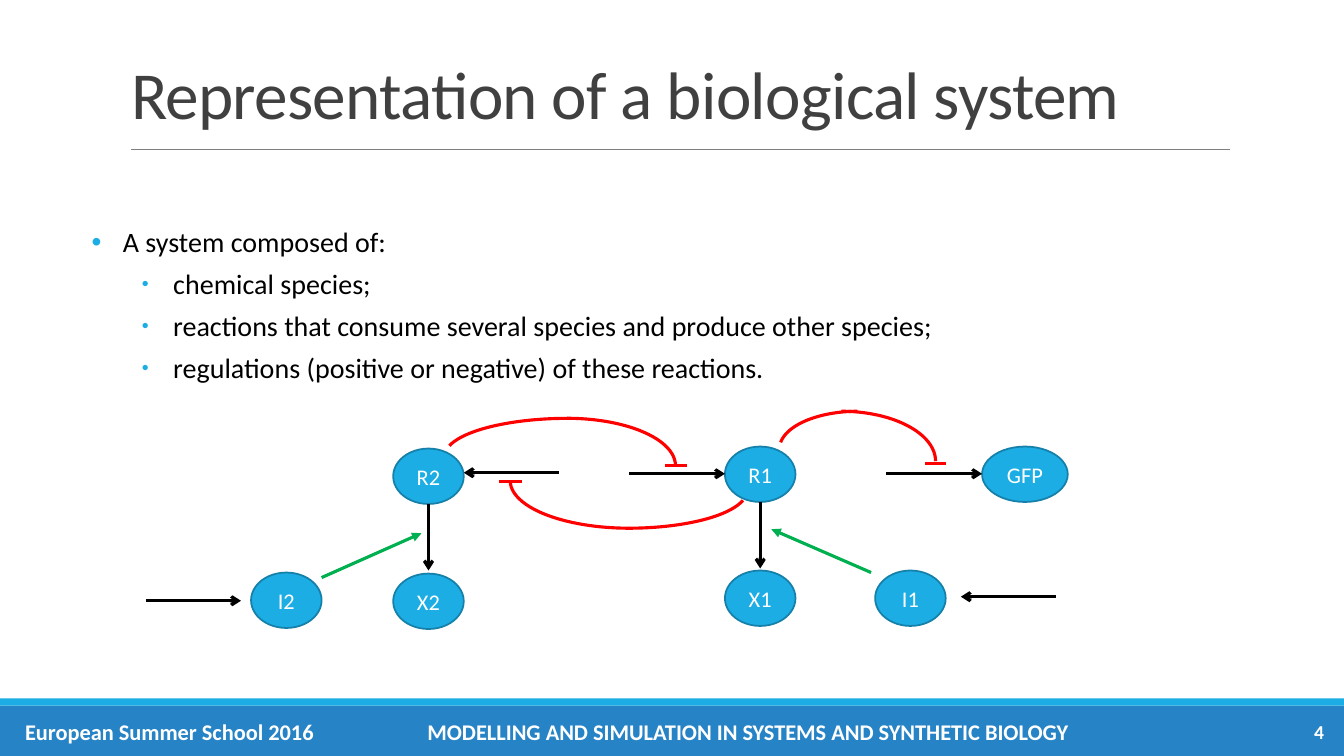
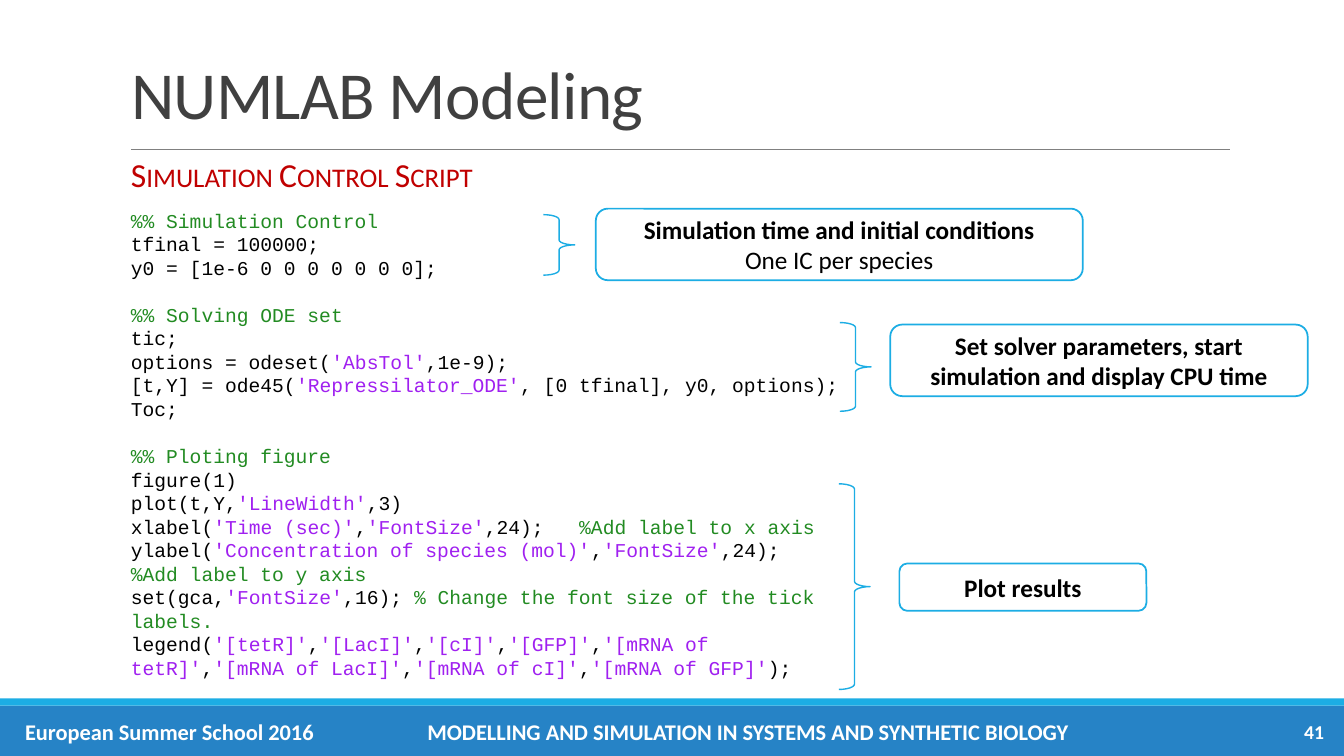
from lxml import etree
from pptx import Presentation
from pptx import util as u
from pptx.dml.color import RGBColor
from pptx.enum import shapes, text
from pptx.oxml.ns import qn

# ---- Shared look; lengths are px, 100 to the inch ----
SCALE = 9144
WIDE, HIGH = 1333, 750
FONT, MONO = "Calibri", "Courier New"
HUES = {
    "sky": "1CADE4", "blue": "2683C6", "edge": "1580A9", "rule": "808080",
    "title": "404040", "white": "FFFFFF", "black": "000000", "red": "FF0000",
    "green": "00B050", "head": "C00000", "note": "228B22", "quote": "A020F0",
}
LEFT, MID, RIGHT = text.PP_ALIGN.LEFT, text.PP_ALIGN.CENTER, text.PP_ALIGN.RIGHT
KIND = shapes.MSO_SHAPE

BANDS = [((0, 700, WIDE, 50), "blue"), ((0, 693, WIDE, 7), "sky")]
FOOTS = [
    ((15, 706, 311, 40), "European Summer School 2016", LEFT, 16),
    ((362, 706, 760, 40),
     "MODELLING AND SIMULATION IN SYSTEMS AND SYNTHETIC BIOLOGY", MID, 16),
]

# ---- Content: biological system ----
POINTS = [
    (0, "A system composed of:"),
    (1, "chemical species;"),
    (1, "reactions that consume several species and produce other species;"),
    (1, "regulations (positive or negative) of these reactions."),
]
NODES = [  # name, left, top, width
    ("R1", 719, 443, 70), ("R2", 390, 445, 70), ("X2", 390, 569, 70),
    ("X1", 719, 566, 70), ("I1", 868, 566, 70), ("I2", 249, 568, 70),
    ("GFP", 974, 443, 85),
]
NODE_H = 55
FLOWS = [  # reactions: from x, y to x, y
    (624, 470, 719, 470), (554, 469, 460, 469), (425, 500, 425, 566),
    (754, 498, 754, 564), (879, 470, 974, 470), (145, 596, 239, 596),
    (1047, 592, 953, 592),
]
BOOSTS = [(319, 573, 418, 529), (864, 568, 765, 525)]
BLOCKS = [  # end bar, arc to the bar, arc to the source, turn
    ((681, 462, 660, 462), (455, 415, 215, 94), (441, 415, 245, 75), 0),
    ((495, 478, 518, 478), (506, 430, 236, 94), (506, 449, 235, 75), 180),
    ((938, 460, 917, 460), (741, 408, 187, 99), (773, 408, 155, 75), 0),
]

# ---- Content: control script ----
SCRIPT = [
    ["%% Simulation Control",
     "tfinal = 100000;",
     "y0 = [1e-6 0 0 0 0 0 0 0];"],
    ["%% Solving ODE set",
     "tic;",
     "options = odeset('AbsTol',1e-9);",
     "[t,Y] = ode45('Repressilator_ODE', [0 tfinal], y0, options);",
     "Toc;"],
    ["%% Ploting figure",
     "figure(1)",
     "plot(t,Y,'LineWidth',3)",
     "xlabel('Time (sec)','FontSize',24);   %Add label to x axis",
     "ylabel('Concentration of species (mol)','FontSize',24);   "
     "%Add label to y axis",
     "set(gca,'FontSize',16); % Change the font size of the tick labels.",
     "legend('[tetR]','[LacI]','[cI]','[GFP]','[mRNA of tetR]',"
     "'[mRNA of LacI]','[mRNA of cI]','[mRNA of GFP]');"],
]
CODE_SIZE, CODE_STEP = 14, 16.8
NOTES = [  # brace, its curl, box, lines as (text, bold)
    ((539, 213, 31, 60), 0.16, (591, 207, 483, 71),
     [("Simulation time and initial conditions", True),
      ("One IC per species", False)]),
    ((833, 320, 31, 88), 0.16, (883, 322, 414, 71),
     [("Set solver parameters, start simulation and display CPU time", True)]),
    ((832, 480, 31, 204), 0.17, (892, 559, 245, 47), [("Plot results", True)]),
]


# ---- Helpers ----
def px(*nums):
    return [u.Emu(round(n * SCALE)) for n in nums]


def hue(name):
    return RGBColor.from_string(HUES[name])


def style(run, size, color, bold=False, face=FONT):
    font = run.font
    font.name, font.size, font.bold = face, u.Pt(size), bold
    font.color.rgb = hue(color)


def write(frame, lines, size, color, align=LEFT, anchor=text.MSO_ANCHOR.MIDDLE):
    """Fill a frame with (text, bold) lines."""
    frame.word_wrap, frame.vertical_anchor = True, anchor
    frame.text = "\n".join(words for words, _ in lines)
    for para, (_, bold) in zip(frame.paragraphs, lines):
        para.alignment = align
        style(para.runs[0], size, color, bold)


def label(slide, box, words, size, color, align=LEFT, bold=False,
          anchor=text.MSO_ANCHOR.MIDDLE):
    frame = slide.shapes.add_textbox(*px(*box)).text_frame
    write(frame, [(words, bold)], size, color, align, anchor)
    return frame


def shape(slide, kind, box, fill=None, line=None, width=1.25):
    item = slide.shapes.add_shape(kind, *px(*box))
    item.shadow.inherit = False
    if fill:
        item.fill.solid()
        item.fill.fore_color.rgb = hue(fill)
    else:
        item.fill.background()
    if line:
        item.line.color.rgb = hue(line)
        item.line.width = u.Pt(width)
    else:
        item.line.fill.background()
    return item


def link(slide, ends, color, width=2.25, tip=None):
    line = slide.shapes.add_connector(shapes.MSO_CONNECTOR.STRAIGHT, *px(*ends))
    line.line.color.rgb = hue(color)
    line.line.width = u.Pt(width)
    if tip:
        etree.SubElement(line.line._get_or_add_ln(), qn("a:tailEnd"), type=tip)
    etree.SubElement(line.element.spPr, qn("a:effectLst"))
    return line


def bullet(para, level):
    props = para._p.get_or_add_pPr()
    left, hang = px(81 if level else 31, -31)
    props.set("marL", str(left))
    props.set("indent", str(hang))
    tint = etree.SubElement(props, qn("a:buClr"))
    etree.SubElement(tint, qn("a:srgbClr"), val=HUES["sky"])
    if level:
        etree.SubElement(props, qn("a:buSzPct"), val="70000")
    etree.SubElement(props, qn("a:buFont"), typeface="Arial")
    etree.SubElement(props, qn("a:buChar"), char="•")


def tokens(line):
    """Split a code line into (text, colour) parts."""
    code, mark, note = line.partition("%")
    for i, part in enumerate(code.split("'")):
        if part:
            yield (f"'{part}'", "quote") if i % 2 else (part, "black")
    if mark:
        yield mark + note, "note"


def dress(slide):
    """Move the bands and title rule to the layout all slides share."""
    parts = [shape(slide, KIND.RECTANGLE, box, fill) for box, fill in BANDS]
    parts.append(link(slide, (130, 148, 1220, 148), "rule", 0.5))
    for part in parts:
        slide.slide_layout.shapes.element.append(part.element)


def page(deck, title, number):
    slide = deck.slides.add_slide(deck.slide_layouts[5])
    head = slide.shapes.title
    head.left, head.top, head.width, head.height = px(120, 31, 1100, 106)
    frame = head.text_frame
    write(frame, [(title, False)], 48, "title", anchor=text.MSO_ANCHOR.BOTTOM)
    frame.auto_size = text.MSO_AUTO_SIZE.NONE
    para = frame.paragraphs[0]
    para.line_spacing = 0.85
    para.runs[0]._r.get_or_add_rPr().set("spc", "-50")
    for box, words, align, size in FOOTS + [
            ((1180, 706, 143, 40), str(number), RIGHT, 14)]:
        label(slide, box, words, size, "white", align, True)
    return slide


# ---- Slides ----
def system(deck):
    slide = page(deck, "Representation of a biological system", 4)
    dress(slide)

    # Bullets
    frame = slide.shapes.add_textbox(*px(81, 218, 1145, 220)).text_frame
    write(frame, [(words, False) for _, words in POINTS], 20, "black",
          anchor=text.MSO_ANCHOR.TOP)
    for para, (level, _) in zip(frame.paragraphs, POINTS):
        para.level, para.space_after = level, u.Pt(6)
        bullet(para, level)

    # Species
    for name, left, top, wide in NODES:
        node = shape(slide, KIND.OVAL, (left, top, wide, NODE_H), "sky", "edge")
        write(node.text_frame, [(name, False)], 16, "white", MID)

    # Reactions and regulations
    for ends in FLOWS:
        link(slide, ends, "black", tip="arrow")
    for ends in BOOSTS:
        link(slide, ends, "green", tip="triangle")
    for bar, near, far, turn in BLOCKS:
        link(slide, bar, "red")
        for box in (near, far):
            arc = shape(slide, KIND.ARC, box, line="red", width=2.25)
            arc.rotation = turn
        arc.adjustments[0], arc.adjustments[1] = 162, 213
        arc.element.spPr.xfrm.set("flipH", "1")


def control(deck):
    slide = page(deck, "NUMLAB Modeling", 41)
    frame = label(slide, (120, 148, 366, 50), "Simulation Control Script", 24,
                  "head", anchor=text.MSO_ANCHOR.TOP)
    frame.paragraphs[0].runs[0]._r.get_or_add_rPr().set("cap", "small")

    # Code
    frame = slide.shapes.add_textbox(*px(120, 202, 723, 481)).text_frame
    frame.word_wrap = True
    para = frame.paragraphs[0]
    for i, block in enumerate(SCRIPT):
        for j, line in enumerate(block):
            if i or j:
                para = frame.add_paragraph()
            para.line_spacing = u.Pt(CODE_STEP)
            if i and not j:
                para.space_before = u.Pt(CODE_STEP)
            for words, color in tokens(line):
                run = para.add_run()
                run.text = words
                style(run, CODE_SIZE, color, face=MONO)

    # Braces and remarks
    for span, curl, box, lines in NOTES:
        brace = shape(slide, KIND.RIGHT_BRACE, span, line="sky", width=1)
        brace.adjustments[0] = curl
        card = shape(slide, KIND.ROUNDED_RECTANGLE, box, "white", "sky")
        write(card.text_frame, lines, 18, "black", MID)


def main():
    deck = Presentation()
    deck.slide_width, deck.slide_height = px(WIDE, HIGH)
    system(deck)
    control(deck)
    deck.save("out.pptx")


if __name__ == "__main__":
    main()
